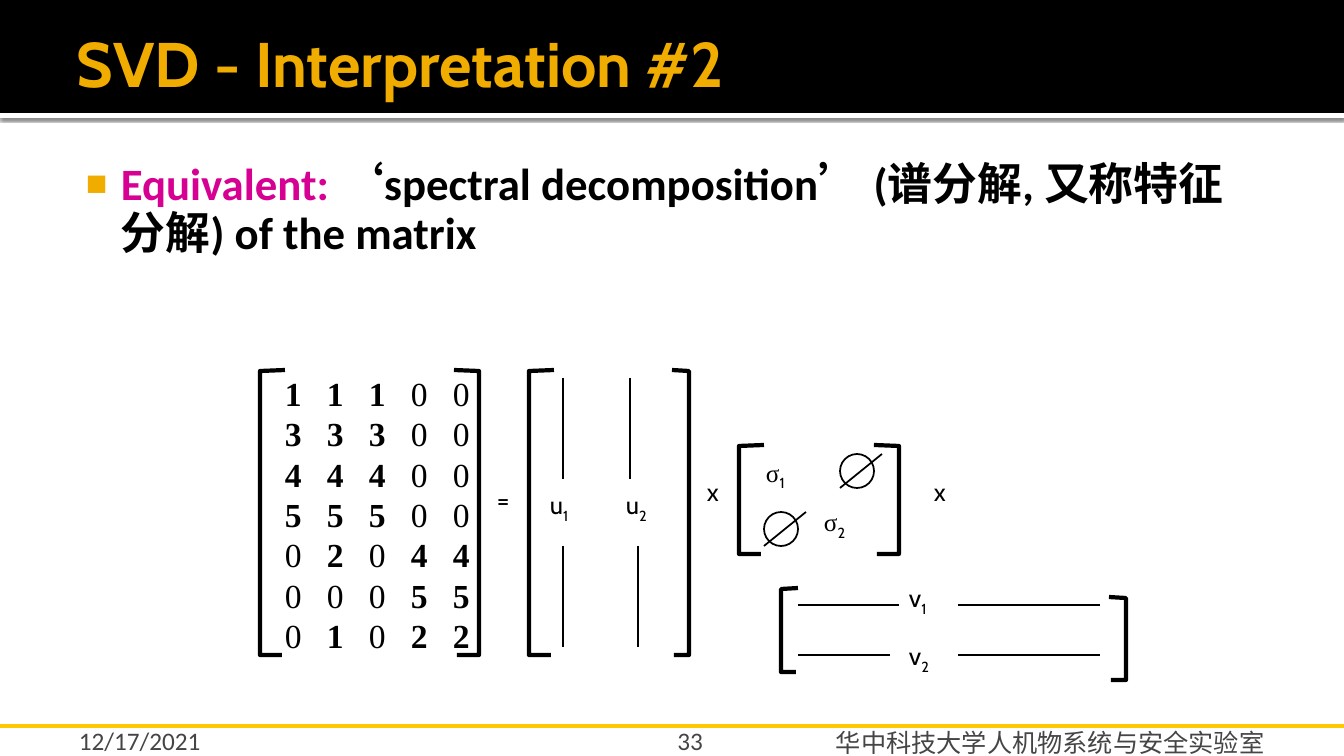
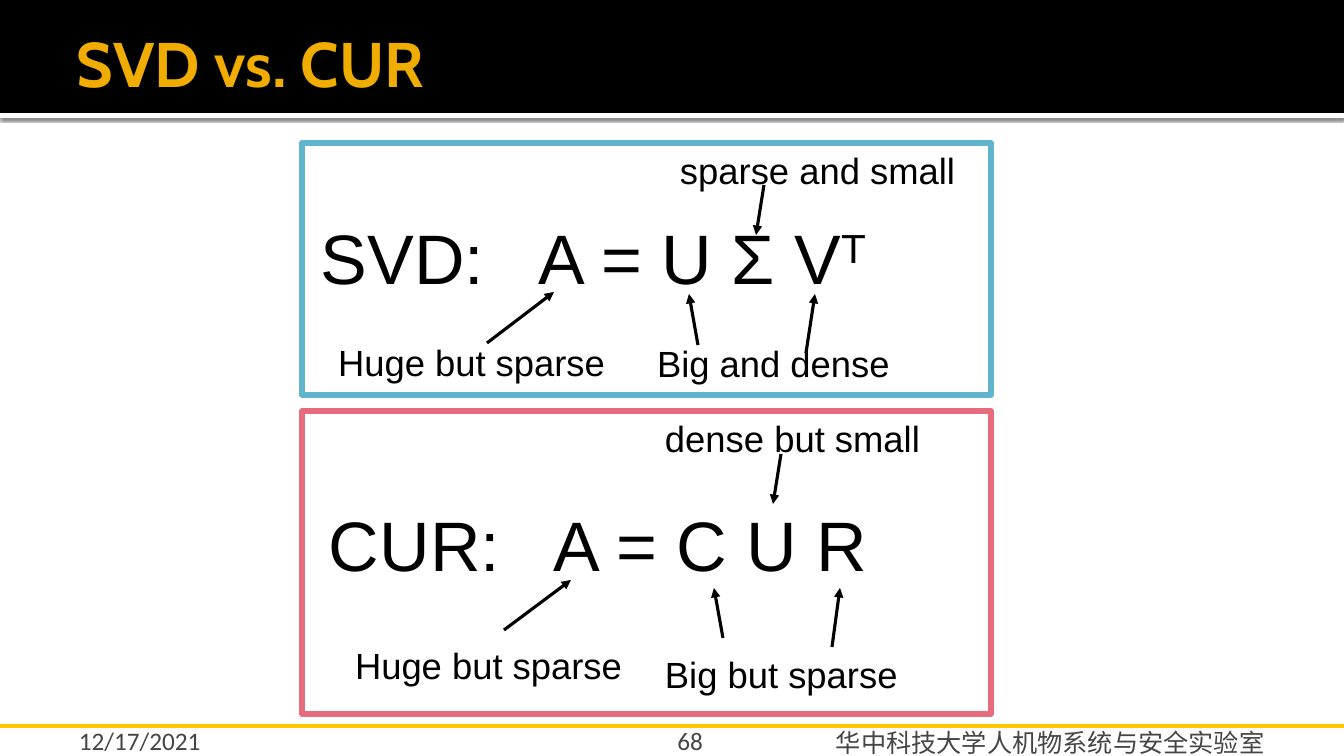
import pptx
import pptx.dml.color
import pptx.enum.shapes
import pptx.enum.text
import pptx.oxml
import pptx.oxml.ns
import pptx.util
from lxml import etree

PX = 9071  # EMU per pixel, at 100.8 pixels to the inch
WIDTH, HEIGHT = 1344, 756

RGB = pptx.dml.color.RGBColor
BLACK = RGB(0x00, 0x00, 0x00)
WHITE = RGB(0xFF, 0xFF, 0xFF)
GOLD = RGB(0xF0, 0xAD, 0x00)
RULE_YELLOW = RGB(0xFF, 0xC8, 0x00)
FOOTER_GREY = RGB(0x45, 0x45, 0x45)
MAGENTA = RGB(0xD6, 0x00, 0x93)
BLUE = RGB(0x60, 0xB5, 0xCC)
PINK = RGB(0xE6, 0x6C, 0x7D)

ALIGN = pptx.enum.text.PP_ALIGN
ANCHOR = pptx.enum.text.MSO_ANCHOR
SHAPE = pptx.enum.shapes.MSO_SHAPE
qn = pptx.oxml.ns.qn
SUBSCRIPT, SUPERSCRIPT = -25000, 30000


def add_text(slide, paragraphs, left, top, width, height, *, size=18, font="Cabin",
             color=BLACK, bold=False, align=ALIGN.LEFT, anchor=ANCHOR.TOP, wrap=True,
             insets=(10, 5, 10, 5), line_spacing=None, tabs=(), bullet=None):
    """Add a text box; paragraphs is a string or a list of lists of (text, run overrides)."""
    if isinstance(paragraphs, str):
        paragraphs = [[(paragraphs, {})]]
    box = slide.shapes.add_textbox(left * PX, top * PX, width * PX, height * PX)
    frame = box.text_frame
    frame.word_wrap = wrap
    frame.vertical_anchor = anchor
    if not wrap:
        frame.auto_size = pptx.enum.text.MSO_AUTO_SIZE.SHAPE_TO_FIT_TEXT
    frame.margin_left, frame.margin_top, frame.margin_right, frame.margin_bottom = (
        inset * PX for inset in insets)
    for index, runs in enumerate(paragraphs):
        paragraph = frame.add_paragraph() if index else frame.paragraphs[0]
        paragraph.alignment = align
        paragraph.line_spacing = line_spacing
        properties = paragraph._p.get_or_add_pPr()
        if bullet:
            properties.set("marL", str(48 * PX))
            properties.set("indent", str(-35 * PX))
            bullet_color = etree.SubElement(properties, qn("a:buClr"))
            etree.SubElement(bullet_color, qn("a:srgbClr"), val=str(GOLD))
            etree.SubElement(properties, qn("a:buSzPct"), val="80000")
            etree.SubElement(properties, qn("a:buFont"), typeface="Arial")
            etree.SubElement(properties, qn("a:buChar"), char=bullet)
        if tabs:
            tab_list = etree.SubElement(properties, qn("a:tabLst"))
            for stop in tabs:
                etree.SubElement(tab_list, qn("a:tab"), pos=str(stop * PX), algn="l")
        for text, overrides in runs:
            run = paragraph.add_run()
            run.text = text
            run.font.size = pptx.util.Pt(size)
            run.font.name = overrides.get("font", font)
            run.font.bold = overrides.get("bold", bold)
            run.font.color.rgb = overrides.get("color", color)
            run_properties = run._r.get_or_add_rPr()
            run_properties.set("lang", "zh-CN")
            if "baseline" in overrides:
                run_properties.set("baseline", str(overrides["baseline"]))


def add_line(slide, start_x, start_y, end_x, end_y, width=1.25, color=BLACK, arrow=False):
    line = slide.shapes.add_connector(
        pptx.enum.shapes.MSO_CONNECTOR.STRAIGHT,
        start_x * PX, start_y * PX, end_x * PX, end_y * PX)
    line.line.color.rgb = color
    line.line.width = pptx.util.Pt(width)
    if arrow:
        etree.SubElement(line.line._get_or_add_ln(), qn("a:tailEnd"), type="triangle")
    etree.SubElement(line._element.spPr, qn("a:effectLst"))


presentation = pptx.Presentation()
presentation.slide_width = WIDTH * PX
presentation.slide_height = HEIGHT * PX

# What both slides share: bands, title and footer
slides = []
for title, number in (("SVD - Interpretation #2", "33"), ("SVD vs. CUR", "68")):
    slide = presentation.slides.add_slide(presentation.slide_layouts[6])
    slides.append(slide)
    slide.background.fill.solid()
    slide.background.fill.fore_color.rgb = WHITE
    for top, height, color in ((113, 5, WHITE), (0, 113, BLACK)):
        band = slide.shapes.add_shape(SHAPE.RECTANGLE, 0, top * PX, WIDTH * PX, height * PX)
        band.shadow.inherit = False
        band.fill.solid()
        band.fill.fore_color.rgb = color
        band.line.fill.background()
        if color == WHITE:
            effects = band._element.spPr.find(qn("a:effectLst"))
            shadow = etree.SubElement(effects, qn("a:outerShdw"), blurRad="31750",
                                      dist="10160", dir="5400000", rotWithShape="0")
            shadow_color = etree.SubElement(shadow, qn("a:srgbClr"), val=str(BLACK))
            etree.SubElement(shadow_color, qn("a:alpha"), val="60000")
    add_line(slide, 0, 726, WIDTH, 726, width=2.25, color=RULE_YELLOW)
    add_text(slide, title, 67, 8, 1210, 109, size=45, color=GOLD, bold=True,
             anchor=ANCHOR.MIDDLE, insets=(10, 5, 5, 5))
    footer = {"font": "Calibri", "color": FOOTER_GREY}
    add_text(slide, "12/17/2021", 67, 726, 314, 30, anchor=ANCHOR.BOTTOM,
             insets=(12, 5, 5, 0), **footer)
    add_text(slide, number, 605, 726, 108, 30, anchor=ANCHOR.BOTTOM, align=ALIGN.RIGHT,
             insets=(10, 5, 10, 0), **footer)
    add_text(slide, "华中科技大学人机物系统与安全实验室", 826, 722, 453, 40, wrap=False, **footer)

decomposition, comparison = slides

# Slide 1: spectral decomposition
add_text(decomposition,
         [[("Equivalent: ", {"color": MAGENTA}),
           ("‘spectral decomposition’ (谱分解, 又称特征分解) of the matrix", {})]],
         67, 152, 1184, 511, size=32, font="Calibri", bold=True, insets=(6, 10, 10, 5),
         line_spacing=0.9, bullet="■")

# A negative arm opens the bracket to the left
for spine, top, bottom, arm in (
        (260, 370, 655, 25), (479, 370, 655, -25),
        (529, 370, 655, 25), (689, 370, 655, -17),
        (739, 445, 554, 25), (899, 445, 554, -25),
        (781, 588, 672, 17), (1126, 597, 680, -17)):
    builder = decomposition.shapes.build_freeform((spine + arm) * PX, top * PX)
    builder.add_line_segments(
        [(spine * PX, (top + 1) * PX), (spine * PX, bottom * PX),
         ((spine + round(arm * 0.87)) * PX, bottom * PX)], close=False)
    bracket = builder.convert_to_shape()
    bracket.shadow.inherit = False
    bracket.fill.background()
    bracket.line.color.rgb = BLACK
    bracket.line.width = pptx.util.Pt(3)

MATRIX = ("11100", "33300", "44400", "55500", "02044", "00055", "01022")
matrix_rows = [
    [(("\t" if column else "") + digit, {"bold": digit != "0"})
     for column, digit in enumerate(row)]
    for row in MATRIX]
add_text(decomposition, matrix_rows, 275, 368, 219, 295, size=24, font="Times New Roman",
         line_spacing=pptx.util.Pt(28.8), tabs=[42 * column for column in range(1, 5)])

for operator, left, top in (("=", 487, 479), ("x", 697, 471), ("x", 924, 471)):
    add_text(decomposition, operator, left, top, 60, 40, anchor=ANCHOR.MIDDLE)

for letter, index, left, top in (
        ("u", "1", 540, 487), ("u", "2", 616, 487),
        ("σ", "1", 756, 454), ("σ", "2", 814, 504),
        ("v", "1", 899, 580), ("v", "2", 899, 638)):
    letter_font = "Times New Roman" if letter == "σ" else "Cabin"
    add_text(decomposition,
             [[(letter, {"font": letter_font}), (index, {"baseline": SUBSCRIPT})]],
             left, top, 67, 40, anchor=ANCHOR.MIDDLE)

for x, top in ((563, 378), (630, 378), (563, 546), (638, 546)):
    add_line(decomposition, x, top, x, top + 101)
for y, left_end in ((605, 899), (655, 890)):
    add_line(decomposition, 798, y, left_end, y)
    add_line(decomposition, 958, y, 1100, y)

# Empty-set signs
for left, top in ((840, 454), (764, 512)):
    circle = decomposition.shapes.add_shape(SHAPE.OVAL, left * PX, top * PX, 34 * PX, 34 * PX)
    circle.shadow.inherit = False
    circle.fill.background()
    circle.line.color.rgb = BLACK
    circle.line.width = pptx.util.Pt(1.25)
    add_line(decomposition, left + 42, top, left, top + 34)

# Slide 2: the two factorizations
for top, height, color in ((411, 303, PINK), (143, 252, BLUE)):
    panel = comparison.shapes.add_shape(SHAPE.RECTANGLE, 302 * PX, top * PX, 689 * PX, height * PX)
    panel.shadow.inherit = False
    panel.fill.solid()
    panel.fill.fore_color.rgb = WHITE
    panel.line.color.rgb = color
    panel.line.width = pptx.util.Pt(3.78)

for formula, left, top, tab in (
        ([("SVD:\tA = U Σ V", {}), ("T", {"baseline": SUPERSCRIPT})], 311, 209, 218),
        ([("CUR:\tA = C U R", {})], 319, 496, 225)):
    add_text(comparison, [formula], left, top, 663, 94, size=50, font="Arial", tabs=[tab])

for label, left, top in (
        ("sparse and small", 670, 143), ("Huge but sparse", 328, 335),
        ("Big and dense", 647, 336), ("dense but small", 655, 411),
        ("Huge but sparse", 345, 638), ("Big but sparse", 655, 647)):
    add_text(comparison, label, left, top, 315, 54, size=26, font="Arial")

for arrow_ends in (
        (764, 185, 756, 235), (487, 343, 554, 292), (698, 345, 689, 294), (806, 353, 815, 294),
        (781, 454, 773, 504), (504, 630, 571, 580), (723, 638, 714, 588), (832, 647, 840, 588)):
    add_line(comparison, *arrow_ends, width=2.25, arrow=True)

presentation.save("out.pptx")
